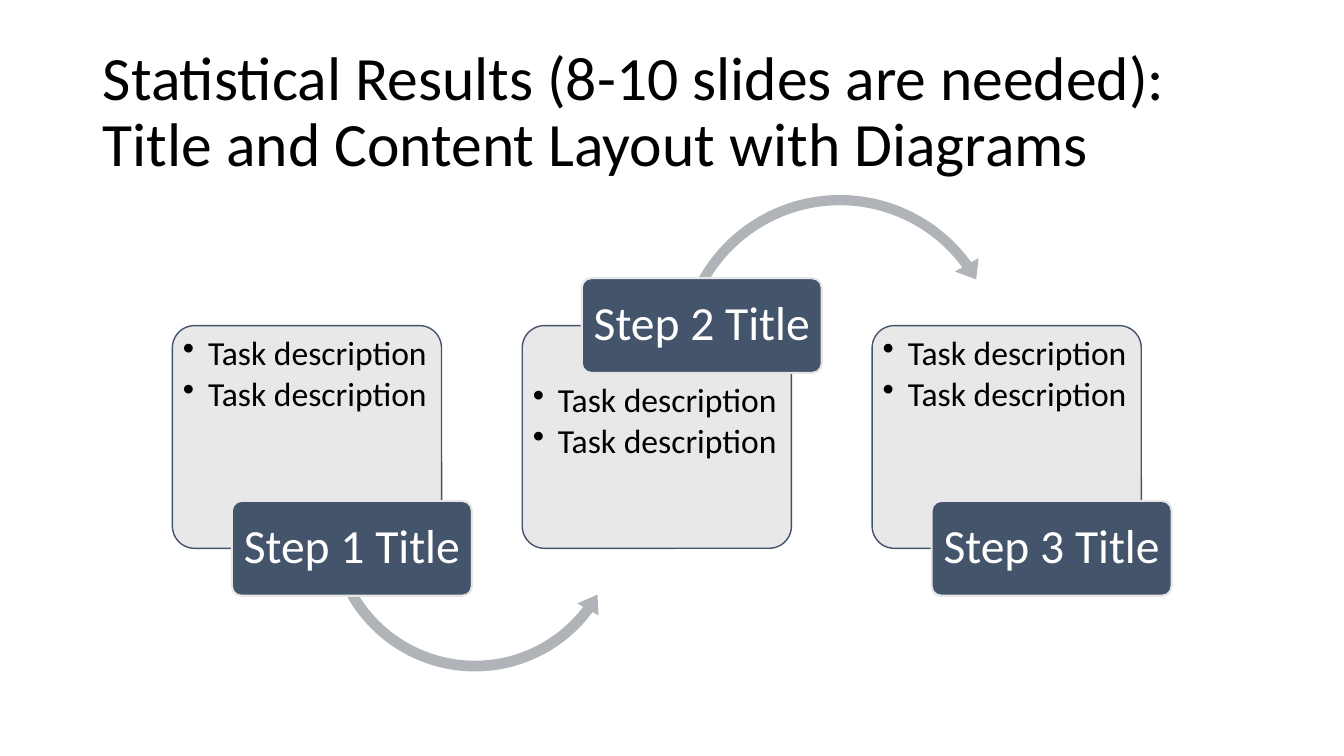
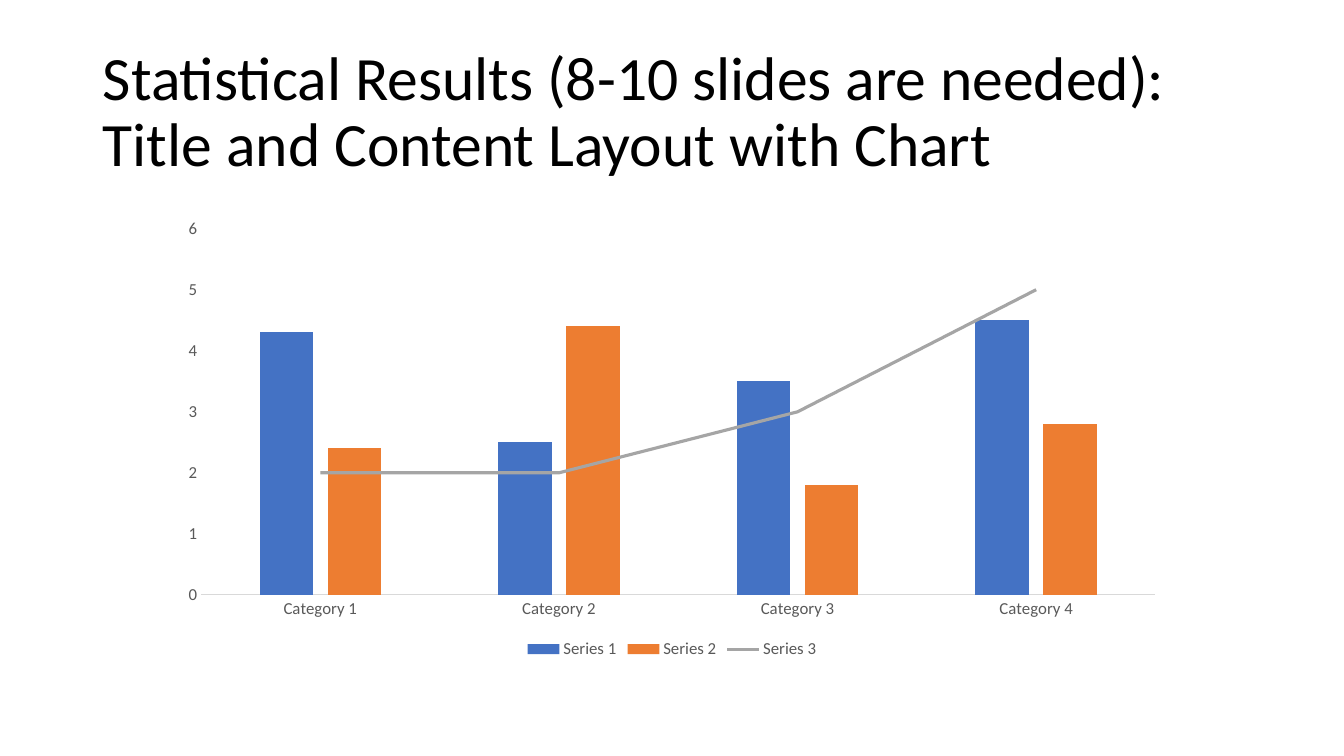
from copy import deepcopy

from pptx import Presentation
from pptx.chart.data import CategoryChartData
from pptx.dml.color import RGBColor
from pptx.enum.chart import XL_CHART_TYPE, XL_LEGEND_POSITION, XL_MARKER_STYLE, XL_TICK_MARK
from pptx.enum.shapes import MSO_SHAPE
from pptx.enum.text import MSO_ANCHOR, MSO_AUTO_SIZE, PP_ALIGN
from pptx.oxml import parse_xml
from pptx.oxml.ns import nsdecls, qn
from pptx.util import Inches, Pt

FONT = "Calibri"
BLACK = RGBColor(0x00, 0x00, 0x00)
WHITE = RGBColor(0xFF, 0xFF, 0xFF)
SLATE = RGBColor(0x44, 0x54, 0x6A)
PALE = RGBColor(0xE7, 0xE6, 0xE6)
ARROW_GRAY = RGBColor(0xB0, 0xB4, 0xB9)
LABEL_GRAY = RGBColor(0x59, 0x59, 0x59)
AXIS_GRAY = RGBColor(0xD9, 0xD9, 0xD9)
BLUE = RGBColor(0x44, 0x72, 0xC4)
ORANGE = RGBColor(0xED, 0x7D, 0x31)
LINE_GRAY = RGBColor(0xA5, 0xA5, 0xA5)

TITLE_START = "Statistical Results (8-10 slides are needed): Title and Content Layout with "
TASKS = ["Task description", "Task description"]
STEPS = [
    {"label": "Step 1 Title", "label_on_top": False, "arrow": {
        "preset": MSO_SHAPE.LEFT_CIRCULAR_ARROW, "center": (4.71, 5.21), "size": 3.04,
        "adjustments": (0.035, 4.28, 22.03, 90.25, 0.04)}},
    {"label": "Step 2 Title", "label_on_top": True, "arrow": {
        "preset": MSO_SHAPE.CIRCULAR_ARROW, "center": (8.33, 3.54), "size": 3.38,
        "adjustments": (0.03, 3.81, 194.43, 125.76, 0.04)}},
    {"label": "Step 3 Title", "label_on_top": False, "arrow": None},
]
BOX_LEFT, BOX_TOP, BOX_WIDTH, BOX_HEIGHT, BOX_PITCH = 1.71, 3.23, 2.67, 2.21, 3.47
LABEL_WIDTH, LABEL_HEIGHT, LABEL_SHIFT = 2.38, 0.94, 0.59

CATEGORIES = ["Category 1", "Category 2", "Category 3", "Category 4"]
SERIES = [
    ("Series 1", (4.3, 2.5, 3.5, 4.5), BLUE),
    ("Series 2", (2.4, 4.4, 1.8, 2.8), ORANGE),
    ("Series 3", (2, 2, 3, 5), LINE_GRAY),
]


def set_values(target, **values):
    for name, value in values.items():
        setattr(target, name, value)


def set_font(font, size, color):
    set_values(font, name=FONT, size=Pt(size))
    font.color.rgb = color


def add_titled_slide(presentation, ending):
    slide = presentation.slides.add_slide(presentation.slide_layouts[5])
    title = slide.shapes.title
    set_values(title, left=Inches(0.92), top=Inches(0.4), width=Inches(11.5), height=Inches(1.45))
    set_values(title.text_frame, text=TITLE_START + ending, word_wrap=True,
               auto_size=MSO_AUTO_SIZE.NONE, vertical_anchor=MSO_ANCHOR.MIDDLE)
    paragraph = title.text_frame.paragraphs[0]
    set_values(paragraph, alignment=PP_ALIGN.LEFT, line_spacing=0.9)
    set_font(paragraph.font, 44, BLACK)
    return slide


def add_filled_shape(slide, preset, place, adjustments, fill, line=None, line_width=1):
    shape = slide.shapes.add_shape(preset, *map(Inches, place))
    shape.shadow.inherit = False
    for index, value in enumerate(adjustments):
        shape.adjustments[index] = value
    shape.fill.solid()
    shape.fill.fore_color.rgb = fill
    if line is None:
        shape.line.fill.background()
    else:
        shape.line.color.rgb = line
        shape.line.width = Pt(line_width)
    return shape


def write_text(shape, texts, size, color, anchor, alignment, margins, bulleted=False):
    frame = shape.text_frame
    left, top, right, bottom = map(Inches, margins)
    set_values(frame, text="\n".join(texts), word_wrap=True, vertical_anchor=anchor,
               margin_left=left, margin_top=top, margin_right=right, margin_bottom=bottom)
    for paragraph in frame.paragraphs:
        set_values(paragraph, alignment=alignment, line_spacing=0.9)
        if bulleted:
            paragraph.space_after = Pt(3.5)
            properties = paragraph._p.get_or_add_pPr()
            properties.set("marL", str(Inches(0.25)))
            properties.set("indent", str(-Inches(0.25)))
            properties.append(parse_xml(f'<a:buChar {nsdecls("a")} char="•"/>'))
        set_font(paragraph.font, size, color)


def add_step(slide, index, step):
    left = BOX_LEFT + index * BOX_PITCH
    on_top = step["label_on_top"]
    box = add_filled_shape(slide, MSO_SHAPE.ROUNDED_RECTANGLE,
                           (left, BOX_TOP, BOX_WIDTH, BOX_HEIGHT), [0.1], PALE, SLATE)
    color = box._element.spPr.find(qn("a:solidFill"))[0]
    color.append(parse_xml(f'<a:alpha {nsdecls("a")} val="90000"/>'))
    top_margin = 0.04 + (LABEL_HEIGHT / 2 if on_top else 0)
    write_text(box, TASKS, 24, BLACK, MSO_ANCHOR.TOP, PP_ALIGN.LEFT,
               (0.04, top_margin, 0.04, 0.04), bulleted=True)

    arrow = step["arrow"]
    if arrow:
        size = arrow["size"]
        x, y = (middle - size / 2 for middle in arrow["center"])
        add_filled_shape(slide, arrow["preset"], (x, y, size, size),
                         arrow["adjustments"], ARROW_GRAY)

    edge = BOX_TOP if on_top else BOX_TOP + BOX_HEIGHT
    label = add_filled_shape(slide, MSO_SHAPE.ROUNDED_RECTANGLE,
                             (left + LABEL_SHIFT, edge - LABEL_HEIGHT / 2, LABEL_WIDTH, LABEL_HEIGHT),
                             [0.1], SLATE, PALE, 1.5)
    write_text(label, [step["label"]], 34, WHITE, MSO_ANCHOR.MIDDLE, PP_ALIGN.CENTER,
               (0.07, 0.05, 0.07, 0.05))


def move_last_series_to_line(chart):
    bar_plot = chart._chartSpace.find(".//" + qn("c:barChart"))
    line_plot = parse_xml(
        f'<c:lineChart {nsdecls("c")}><c:grouping val="standard"/>'
        '<c:varyColors val="0"/><c:marker val="1"/></c:lineChart>')
    series = bar_plot.findall(qn("c:ser"))[-1]
    for bar_setting in series.findall(qn("c:invertIfNegative")):
        series.remove(bar_setting)
    line_plot.insert(2, series)
    for axis_id in bar_plot.findall(qn("c:axId")):
        line_plot.append(deepcopy(axis_id))
    bar_plot.addnext(line_plot)


def add_combined_chart(slide):
    data = CategoryChartData()
    data.categories = CATEGORIES
    for name, values, _ in SERIES:
        data.add_series(name, values)
    place = map(Inches, (1.67, 2.08, 9.99, 4.5))
    chart = slide.shapes.add_chart(XL_CHART_TYPE.COLUMN_CLUSTERED, *place, data).chart
    set_font(chart.font, 10, BLACK)
    set_values(chart, has_title=False, has_legend=True)
    set_values(chart.legend, position=XL_LEGEND_POSITION.BOTTOM, include_in_layout=False)
    set_font(chart.legend.font, 12, LABEL_GRAY)
    for axis in (chart.category_axis, chart.value_axis):
        set_values(axis, has_major_gridlines=False, major_tick_mark=XL_TICK_MARK.NONE,
                   minor_tick_mark=XL_TICK_MARK.NONE)
        set_font(axis.tick_labels.font, 12, LABEL_GRAY)
    chart.category_axis.format.line.color.rgb = AXIS_GRAY
    chart.category_axis.format.line.width = Pt(0.75)
    chart.value_axis.format.line.fill.background()
    set_values(chart.value_axis, minimum_scale=0, maximum_scale=6, major_unit=1)

    move_last_series_to_line(chart)
    columns, lines = chart.plots
    set_values(columns, gap_width=219, overlap=-27, vary_by_categories=False)
    for series, (_, _, color) in zip(columns.series, SERIES):
        series.format.fill.solid()
        series.format.fill.fore_color.rgb = color
    trend = lines.series[0]
    trend.smooth = False
    trend.marker.style = XL_MARKER_STYLE.NONE
    trend.format.line.color.rgb = SERIES[-1][2]
    trend.format.line.width = Pt(2.25)


def main():
    presentation = Presentation()
    set_values(presentation, slide_width=Inches(13.33), slide_height=Inches(7.5))
    steps_slide = add_titled_slide(presentation, "Diagrams")
    for index, step in enumerate(STEPS):
        add_step(steps_slide, index, step)
    add_combined_chart(add_titled_slide(presentation, "Chart"))
    presentation.save("out.pptx")


if __name__ == "__main__":
    main()
